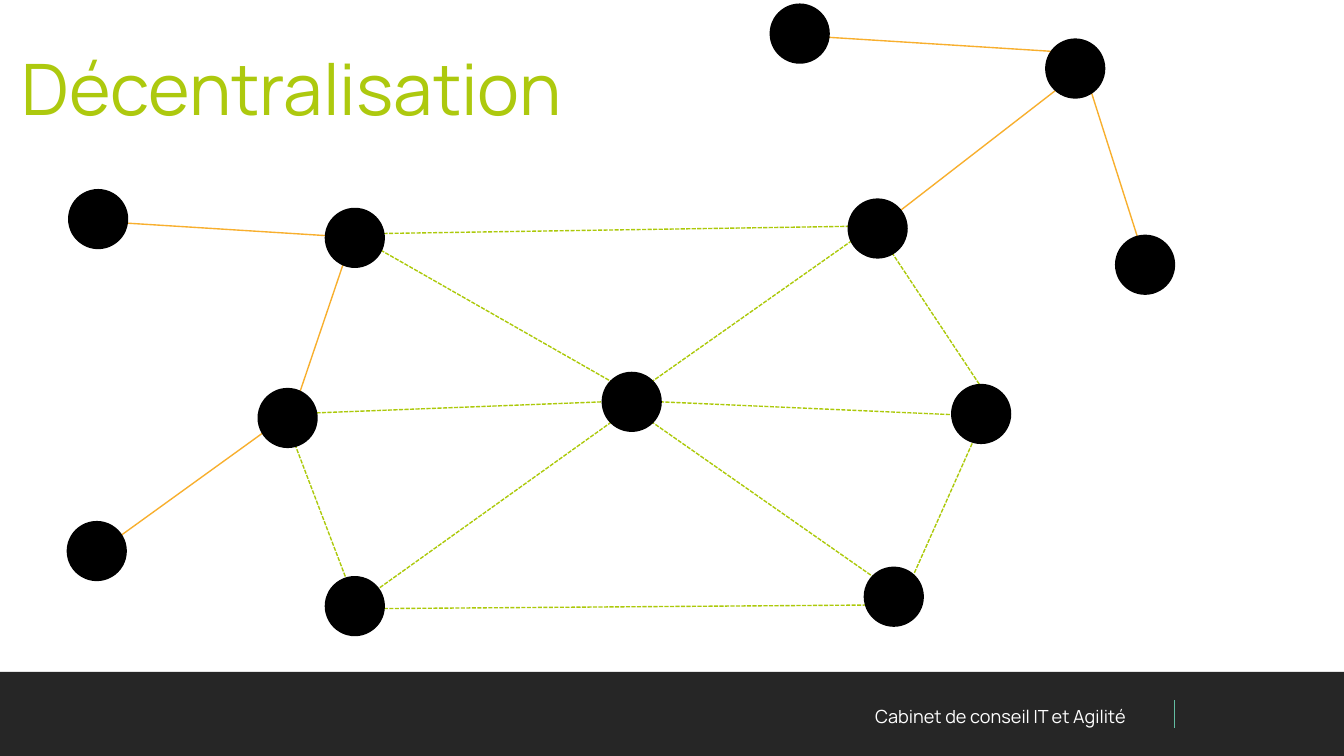
"""Build the decentralisation slide: a network of nodes above a footer."""
from typing import NamedTuple

from pptx import Presentation
from pptx.dml.color import RGBColor
from pptx.enum import dml, shapes, text
from pptx.oxml import ns
from pptx.util import Inches, Pt
from lxml import etree

GREEN = RGBColor(0xAC, 0xC9, 0x09)
LIME = RGBColor(0xAD, 0xC9, 0x0E)
ORANGE = RGBColor(0xF8, 0xAF, 0x2D)
TEAL = RGBColor(0x63, 0xBD, 0xA2)
DARK = RGBColor(0x26, 0x26, 0x26)
BLACK = RGBColor(0, 0, 0)
WHITE = RGBColor(0xFF, 0xFF, 0xFF)
FONT = "Manrope"
WIDE = 10
HIGH = WIDE * 9 / 16
SIZE = 0.42


class Link(NamedTuple):
    x1: float
    y1: float
    x2: float
    y2: float


class Node(NamedTuple):
    left: float
    top: float


MESH = [
    Link(2.69, 1.74, 6.59, 1.68),
    Link(2.15, 3.08, 4.49, 2.99),
    Link(2.15, 3.19, 2.68, 4.58),
    Link(6.68, 4.42, 4.85, 3.14),
    Link(2.61, 4.53, 6.72, 4.5),
    Link(7.3, 3.15, 6.72, 4.45),
    Link(6.59, 1.81, 7.42, 3.06),
    Link(2.76, 4.42, 4.55, 3.14),
    Link(2.69, 1.78, 4.55, 2.84),
    Link(6.34, 1.79, 4.85, 2.84),
    Link(4.91, 2.99, 7.42, 3.1),
]
BRANCHES = [
    Link(0.78, 1.65, 2.69, 1.77),
    Link(2.19, 3.04, 2.64, 1.71),
    Link(0.74, 4.1, 2.11, 3.11),
    Link(6.04, 0.27, 7.95, 0.39),
    Link(6.54, 1.69, 8, 0.56),
    Link(8.08, 0.56, 8.51, 1.91),
]
NODES = [
    Node(7.09, 2.87), Node(2.43, 1.56), Node(6.44, 4.23), Node(2.43, 4.3),
    Node(4.49, 2.78), Node(0.52, 1.42), Node(7.79, 0.3), Node(5.74, 0.04),
    Node(8.31, 1.76), Node(6.32, 1.49), Node(1.93, 2.9), Node(0.51, 3.89),
]


def draw_link(slide, link: Link, color: RGBColor, dashed: bool = False) -> None:
    line = slide.shapes.add_connector(
        shapes.MSO_CONNECTOR.STRAIGHT, *(Inches(v) for v in link))
    line.line.color.rgb = color
    line.line.width = Pt(0.75)
    if dashed:
        line.line.dash_style = dml.MSO_LINE.SQUARE_DOT
    etree.SubElement(line._element.spPr, ns.qn("a:effectLst"))


def draw_shape(slide, kind, box: tuple, color: RGBColor):
    shape = slide.shapes.add_shape(kind, *(Inches(v) for v in box))
    shape.shadow.inherit = False
    shape.fill.solid()
    shape.fill.fore_color.rgb = color
    shape.line.fill.background()
    return shape


def draw_node(slide, node: Node) -> None:
    dot = draw_shape(slide, shapes.MSO_SHAPE.OVAL, (*node, SIZE, SIZE), BLACK)
    dot.line.color.rgb = BLACK
    dot.line.width = Pt(2)


def write(shape, box: tuple, words: str, size: float, color: RGBColor,
          align, pad: float) -> None:
    shape.left, shape.top, shape.width, shape.height = (Inches(v) for v in box)
    frame = shape.text_frame
    frame.word_wrap = True
    frame.auto_size = text.MSO_AUTO_SIZE.NONE
    frame.vertical_anchor = text.MSO_ANCHOR.TOP
    frame.margin_left = frame.margin_right = Inches(0.1)
    frame.margin_top = frame.margin_bottom = Inches(pad)
    para = frame.paragraphs[0]
    para.alignment = align
    run = para.add_run()
    run.text = words
    run.font.name = FONT
    run.font.size = Pt(size)
    run.font.color.rgb = color


def main() -> None:
    deck = Presentation()
    deck.slide_width, deck.slide_height = Inches(WIDE), Inches(HIGH)
    slide = deck.slides.add_slide(deck.slide_layouts[5])

    draw_shape(slide, shapes.MSO_SHAPE.RECTANGLE, (0, 5, WIDE, HIGH - 5), DARK)
    foot = slide.shapes.add_textbox(0, 0, 0, 0)
    write(foot, (5.25, 5.2, 3.23, 0.26), "Cabinet de conseil IT et Agilité",
          9.7, WHITE, text.PP_ALIGN.RIGHT, 0.05)
    draw_link(slide, Link(8.74, 5.21, 8.74, 5.42), TEAL)

    write(slide.shapes.title, (0.06, 0.23, 8.95, 0.55), "Décentralisation",
          38, LIME, text.PP_ALIGN.LEFT, 0.1)
    for link in MESH:
        draw_link(slide, link, GREEN, dashed=True)
    for link in BRANCHES:
        draw_link(slide, link, ORANGE)
    for node in NODES:
        draw_node(slide, node)

    deck.save("out.pptx")


if __name__ == "__main__":
    main()
